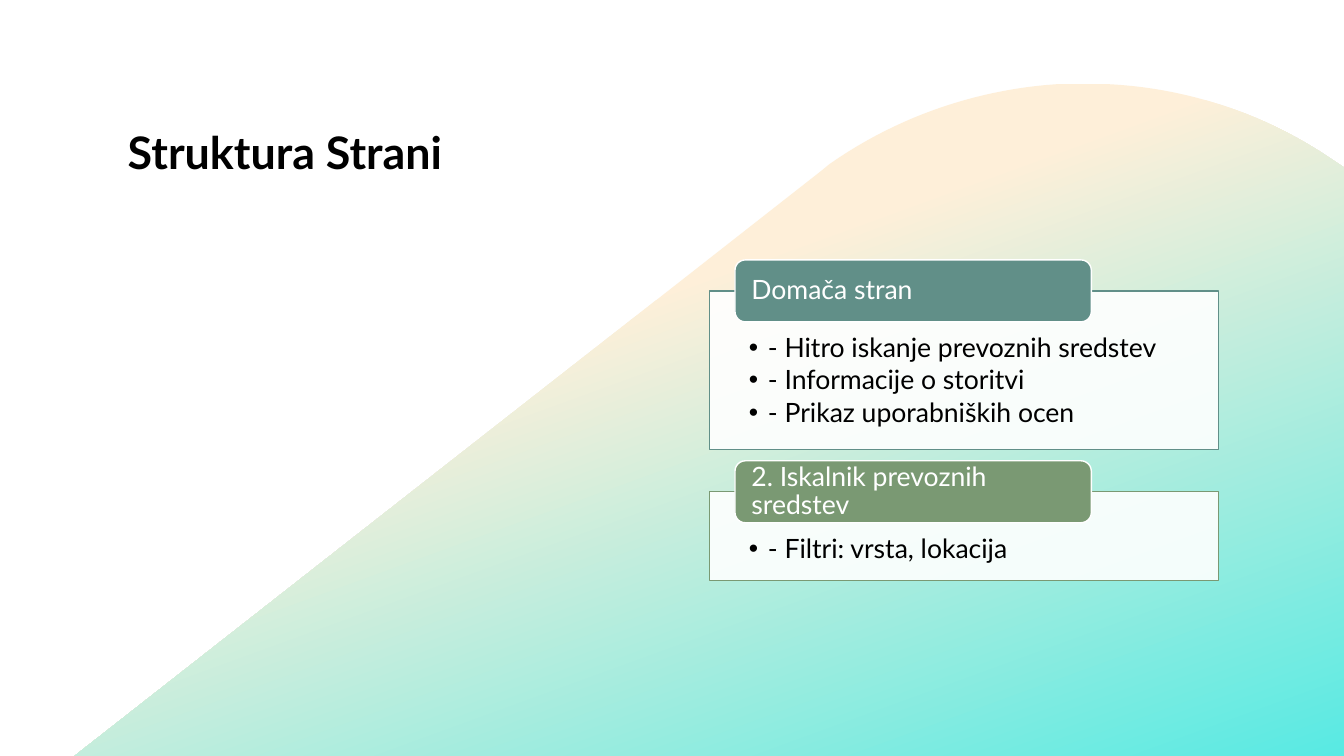
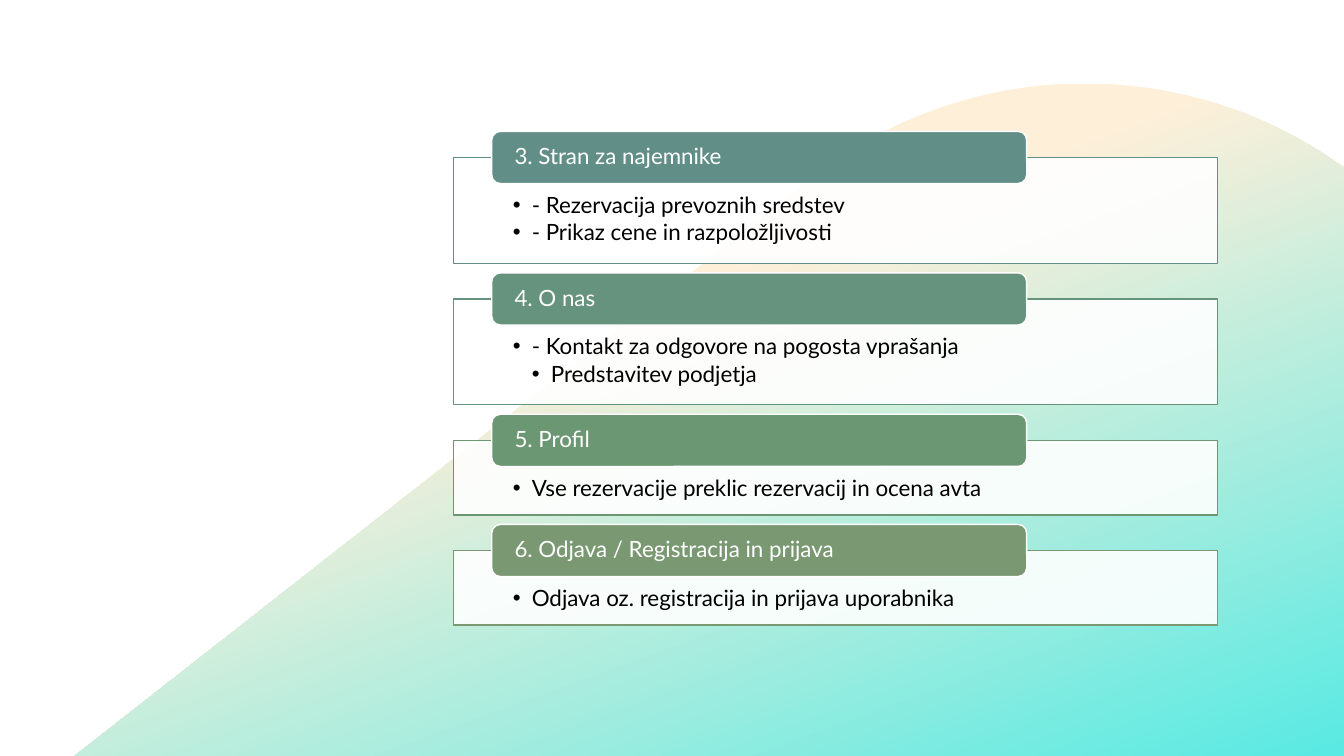
from dataclasses import dataclass

from lxml.etree import SubElement
from pptx import Presentation
from pptx.dml.color import RGBColor as Rgb
from pptx.enum.shapes import MSO_SHAPE as Kind
from pptx.enum.text import MSO_ANCHOR as Anchor, PP_ALIGN as Align
from pptx.oxml.ns import qn
from pptx.util import Cm, Pt

HUES = {
    "white": "FFFFFF", "black": "000000", "cream": "FEEFD9", "aqua": "58EAE3",
    "teal": "618F88", "pine": "66937D", "leaf": "6C9773", "moss": "7A9973",
}
FACE = "Lato"
WIDE, HIGH = 33.87, 19.05
INDENT = 0.48

Point = tuple[float, float]


@dataclass
class Card:
    title: str
    hue: str
    height: float
    lines: list[tuple[int, str]]


@dataclass
class Stack:
    left: float
    top: float
    width: float
    size: int
    cards: list[Card]


PAGES = [
    ("Struktura Strani", Stack(17.88, 6.55, 12.83, 19, [
        Card("Domača stran", "teal", 4.0, [
            (1, "- Hitro iskanje prevoznih sredstev"),
            (1, "- Informacije o storitvi"),
            (1, "- Prikaz uporabniških ocen")]),
        Card("2. Iskalnik prevoznih sredstev", "moss", 2.24, [
            (1, "- Filtri: vrsta, lokacija")]),
    ])),
    ("", Stack(11.43, 3.31, 19.26, 16, [
        Card("3. Stran za najemnike", "teal", 2.67, [
            (1, "- Rezervacija prevoznih sredstev"),
            (1, "- Prikaz cene in razpoložljivosti")]),
        Card("4. O nas", "pine", 2.67, [
            (1, "- Kontakt za odgovore na pogosta vprašanja"),
            (2, "Predstavitev podjetja")]),
        Card("5. Profil", "leaf", 1.88, [
            (1, "Vse rezervacije preklic rezervacij in ocena avta")]),
        Card("6. Odjava / Registracija in prijava", "moss", 1.88, [
            (1, "Odjava oz. registracija in prijava uporabnika")]),
    ])),
]


def tint(name: str) -> Rgb:
    return Rgb.from_string(HUES[name])


def curve(a: Point, b: Point, c: Point, d: Point, count: int = 24) -> list[Point]:
    points = []
    for step in range(1, count + 1):
        t = step / count
        u = 1 - t
        parts = (u ** 3, 3 * u * u * t, 3 * u * t * t, t ** 3)
        points.append((
            sum(k * p[0] for k, p in zip(parts, (a, b, c, d))),
            sum(k * p[1] for k, p in zip(parts, (a, b, c, d)))))
    return points


def draw_hill(slide) -> None:
    start, crest = (27.51, 2.11), (26.85, 2.11)
    edge = curve(start, (29.62, 2.13), (31.70, 2.77), (33.48, 3.96))
    edge += [(WIDE, 4.22), (WIDE, HIGH), (1.88, HIGH), (20.68, 4.32), (20.9, 4.14)]
    edge += curve(edge[-1], (22.71, 2.87), (24.79, 2.21), crest)
    pen = slide.shapes.build_freeform(Cm(start[0]), Cm(start[1]))
    pen.add_line_segments([(Cm(x), Cm(y)) for x, y in edge], close=True)
    hill = pen.convert_to_shape()
    hill.shadow.inherit = False
    hill.line.fill.background()
    hill.fill.gradient()
    hill.fill.gradient_angle = 290
    for stop, place, name in zip(hill.fill.gradient_stops, (0.37, 1), ("cream", "aqua")):
        stop.position = place
        stop.color.rgb = tint(name)


def style(para, size: int, hue: str, bold: bool = False) -> None:
    para.alignment = Align.LEFT
    para.line_spacing = 0.9
    for run in para.runs:
        font = run.font
        font.name, font.size, font.bold = FACE, Pt(size), bold
        font.color.rgb = tint(hue)


def bullet(para, level: int) -> None:
    para.level = level
    props = para._p.get_or_add_pPr()
    props.set("marL", str(Cm(INDENT * level)))
    props.set("indent", str(-Cm(INDENT)))
    SubElement(props, qn("a:buFont"), typeface="Arial")
    SubElement(props, qn("a:buChar"), char="•")


def add_box(slide, kind: Kind, place: tuple, fill: str, line: str, pads: tuple):
    box = slide.shapes.add_shape(kind, *map(Cm, place))
    box.shadow.inherit = False
    box.fill.solid()
    box.fill.fore_color.rgb = tint(fill)
    box.line.color.rgb = tint(line)
    box.line.width = Pt(1)
    frame = box.text_frame
    frame.word_wrap = True
    side, top, base = map(Cm, pads)
    frame.margin_left = frame.margin_right = side
    frame.margin_top, frame.margin_bottom = top, base
    return box


def draw_card(slide, stack: Stack, card: Card, top: float) -> float:
    em = stack.size * 2.54 / 72
    step = stack.width * 0.05
    tall = 2.33 * em
    start = top + tall / 2
    body = add_box(slide, Kind.RECTANGLE, (stack.left, start, stack.width, card.height),
                   "white", card.hue, (1.55 * step, 1.63 * em, 0.56 * em))
    color = body.fill._xPr.find(qn("a:solidFill"))[0]
    SubElement(color, qn("a:alpha"), val="90000")
    frame = body.text_frame
    frame.vertical_anchor = Anchor.TOP
    frame.text = "\n".join(text for _, text in card.lines)
    for para, (level, _) in zip(frame.paragraphs, card.lines):
        bullet(para, level)
        style(para, stack.size, "black")
        para.space_after = Pt(0.15 * stack.size)

    tab = add_box(slide, Kind.ROUNDED_RECTANGLE,
                  (stack.left + step, top, 0.7 * stack.width, tall),
                  card.hue, "white", (0.53 * step, 0, 0))
    tab.text_frame.vertical_anchor = Anchor.MIDDLE
    tab.text_frame.text = card.title
    style(tab.text_frame.paragraphs[0], stack.size, "white")
    return start + card.height + 0.42 * em


def draw_title(slide, text: str) -> None:
    frame = slide.shapes.add_textbox(Cm(2.97), Cm(3.18), Cm(10.46), Cm(6.35)).text_frame
    frame.word_wrap = True
    frame.text = text
    style(frame.paragraphs[0], 32, "black", True)


def main() -> None:
    deck = Presentation()
    deck.slide_width, deck.slide_height = Cm(WIDE), Cm(HIGH)
    for title, stack in PAGES:
        slide = deck.slides.add_slide(deck.slide_layouts[6])
        draw_hill(slide)
        if title:
            draw_title(slide, title)
        top = stack.top
        for card in stack.cards:
            top = draw_card(slide, stack, card, top)
    deck.save("out.pptx")


if __name__ == "__main__":
    main()
